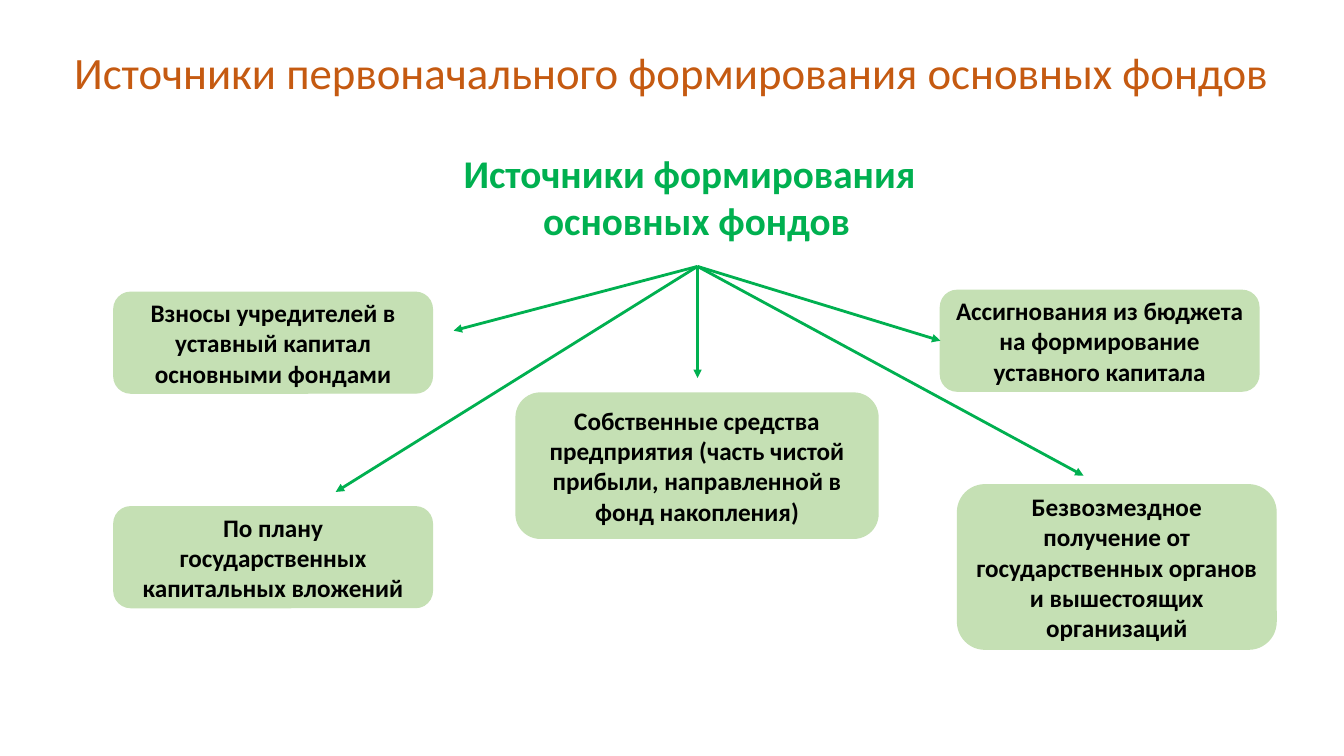
from dataclasses import dataclass

from lxml import etree
from pptx import Presentation
from pptx.dml.color import RGBColor
from pptx.enum.shapes import MSO_CONNECTOR, MSO_SHAPE
from pptx.enum.text import MSO_ANCHOR, PP_ALIGN
from pptx.oxml.ns import qn
from pptx.slide import Slide
from pptx.text.text import TextFrame
from pptx.util import Pt

ROUNDED = MSO_SHAPE.ROUNDED_RECTANGLE
STRAIGHT = MSO_CONNECTOR.STRAIGHT
LEFT, CENTER = PP_ALIGN.LEFT, PP_ALIGN.CENTER
TOP, MIDDLE = MSO_ANCHOR.TOP, MSO_ANCHOR.MIDDLE


@dataclass(frozen=True)
class TextStyle:
    size: float
    color: RGBColor
    bold: bool = True


@dataclass(frozen=True)
class Theme:
    font: str = "Calibri"
    box_fill: RGBColor = RGBColor(0xC5, 0xE0, 0xB4)
    arrow: RGBColor = RGBColor(0x00, 0xB0, 0x50)
    title: TextStyle = TextStyle(32, RGBColor(0xC5, 0x5A, 0x11), bold=False)
    heading: TextStyle = TextStyle(28, RGBColor(0x00, 0xB0, 0x50))
    source: TextStyle = TextStyle(18, RGBColor(0x00, 0x00, 0x00))


@dataclass(frozen=True)
class Area:
    left: float
    top: float
    width: float
    height: float

    def lengths(self) -> tuple[Pt, Pt, Pt, Pt]:
        return Pt(self.left), Pt(self.top), Pt(self.width), Pt(self.height)


@dataclass(frozen=True)
class Source:
    """A source of funds and the point where its arrow ends."""
    text: str
    area: Area
    arrow_end: tuple[float, float]


THEME = Theme()
SLIDE_WIDTH, SLIDE_HEIGHT = 960, 540
TITLE_AREA = Area(12.24, 10.8, 935.28, 84.96)
HEADING_AREA = Area(324, 103, 347, 97.2)
ARROW_START = (498.24, 190.3)
BOX_WIDTH, BOX_HEIGHT = 227.5, 72
LEFT_COLUMN = 81.36

SOURCES = [
    Source("Взносы учредителей в уставный капитал основными фондами",
           Area(LEFT_COLUMN, 208.8, BOX_WIDTH, BOX_HEIGHT), (324, 236.2)),
    Source("По плану государственных капитальных вложений",
           Area(LEFT_COLUMN, 362, BOX_WIDTH, BOX_HEIGHT), (239.8, 351.4)),
    Source("Собственные средства предприятия (часть чистой прибыли, "
           "направленной в фонд накопления)",
           Area(368.64, 280.8, 258.5, 103.7), (ARROW_START[0], 270)),
    Source("Ассигнования из бюджета на формирование уставного капитала",
           Area(671.76, 207.4, BOX_WIDTH, BOX_HEIGHT), (671.76, 243.4)),
    Source("Безвозмездное получение от государственных органов "
           "и вышестоящих организаций",
           Area(684, 346.3, BOX_WIDTH, 117.4), (774, 339.8)),
]


def write_text(frame: TextFrame, lines: list[tuple[str, PP_ALIGN]],
               style: TextStyle, anchor: MSO_ANCHOR,
               line_spacing: float = 1.0) -> None:
    frame.word_wrap = True
    frame.vertical_anchor = anchor
    for index, (text, alignment) in enumerate(lines):
        paragraph = frame.add_paragraph() if index else frame.paragraphs[0]
        paragraph.alignment = alignment
        paragraph.line_spacing = line_spacing
        run = paragraph.add_run()
        run.text = text
        run.font.name = THEME.font
        run.font.size = Pt(style.size)
        run.font.bold = style.bold
        run.font.color.rgb = style.color


def add_source_box(slide: Slide, source: Source) -> None:
    shape = slide.shapes.add_shape(ROUNDED, *source.area.lengths())
    shape.shadow.inherit = False
    shape.fill.solid()
    shape.fill.fore_color.rgb = THEME.box_fill
    shape.line.color.rgb = THEME.box_fill
    shape.line.width = Pt(1)
    write_text(shape.text_frame, [(source.text, CENTER)], THEME.source, MIDDLE)


def add_arrow(slide: Slide, end: tuple[float, float]) -> None:
    points = [Pt(value) for value in (*ARROW_START, *end)]
    connector = slide.shapes.add_connector(STRAIGHT, *points)
    connector.line.color.rgb = THEME.arrow
    connector.line.width = Pt(2)
    outline = connector.line._get_or_add_ln()
    etree.SubElement(outline, qn("a:tailEnd"), type="triangle")
    etree.SubElement(connector._element.spPr, qn("a:effectLst"))


def main() -> None:
    presentation = Presentation()
    presentation.slide_width = Pt(SLIDE_WIDTH)
    presentation.slide_height = Pt(SLIDE_HEIGHT)
    slide = presentation.slides.add_slide(presentation.slide_layouts[6])

    title = slide.shapes.add_textbox(*TITLE_AREA.lengths())
    write_text(title.text_frame,
               [("Источники первоначального формирования основных фондов", CENTER)],
               THEME.title, MIDDLE, line_spacing=0.9)
    heading = slide.shapes.add_textbox(*HEADING_AREA.lengths())
    write_text(heading.text_frame,
               [("Источники формирования", LEFT), ("основных фондов", CENTER)],
               THEME.heading, TOP)

    for source in SOURCES:
        add_source_box(slide, source)
    for source in SOURCES:
        add_arrow(slide, source.arrow_end)

    presentation.save("out.pptx")


if __name__ == "__main__":
    main()
